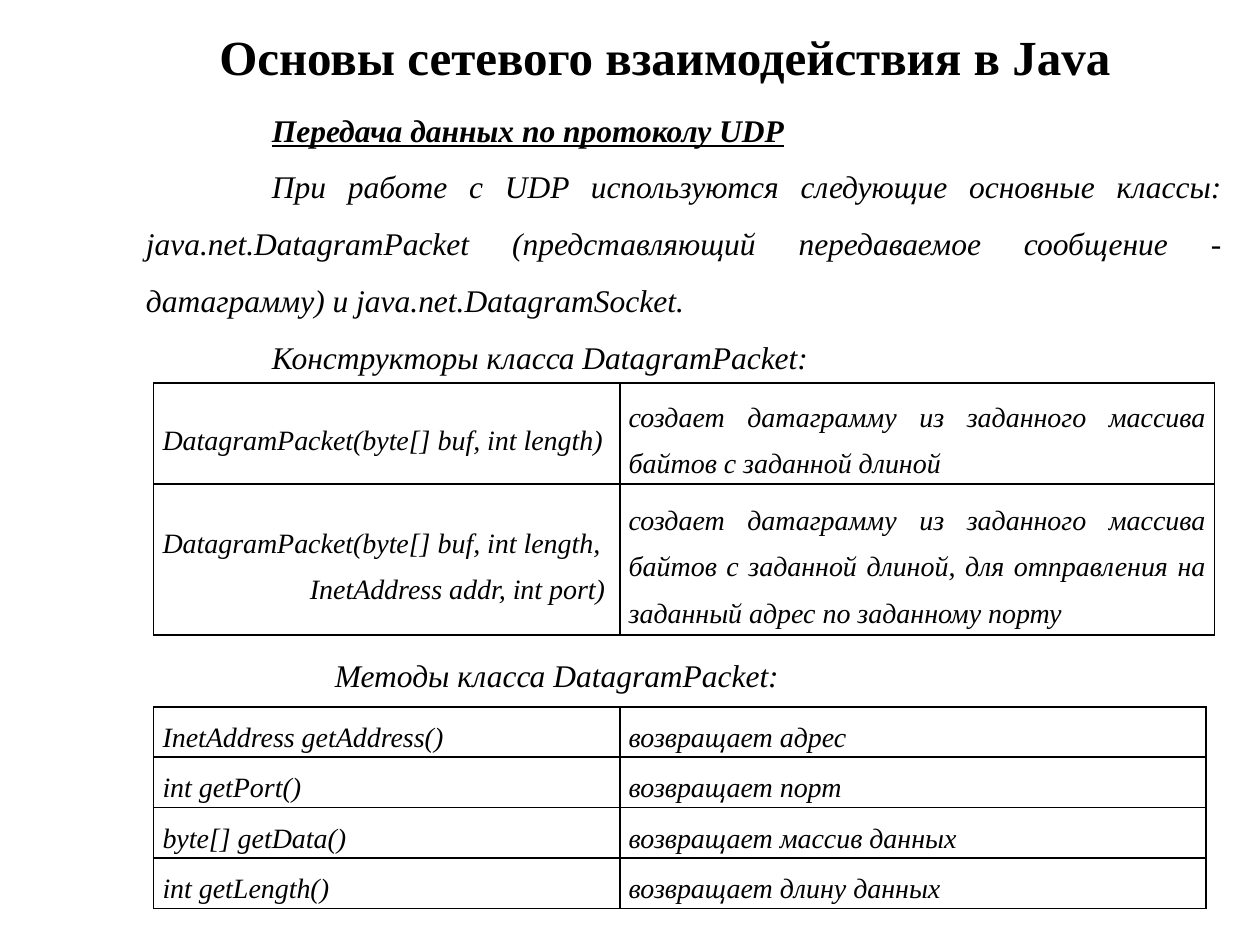
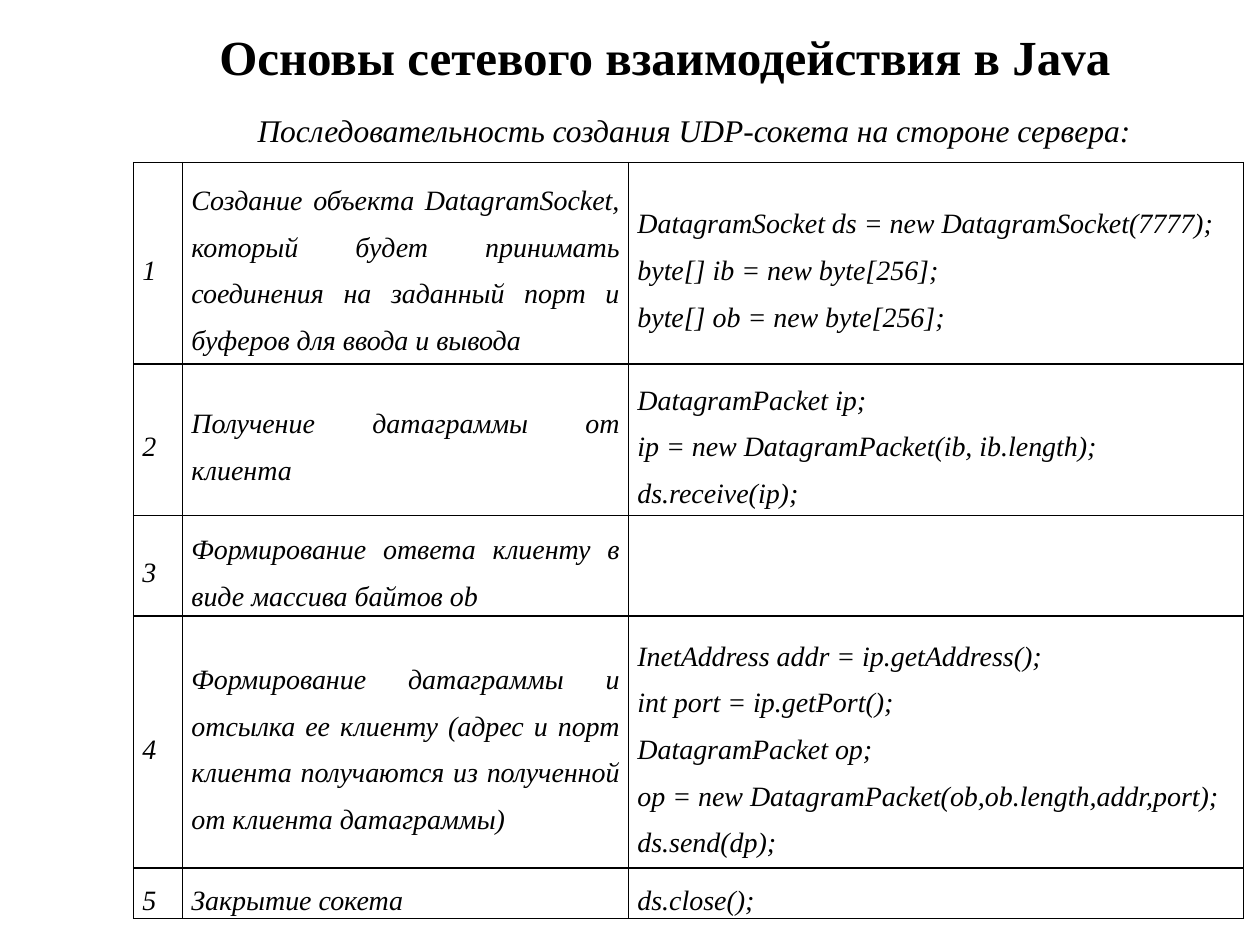
from pptx import Presentation
from pptx.util import Inches, Pt
from pptx.dml.color import RGBColor as Rgb
from pptx.enum.text import PP_ALIGN as Align, MSO_ANCHOR as Anchor
from pptx.oxml import parse_xml
from pptx.oxml.ns import nsdecls

COLORS = {"ink": "000000", "page": "FFFFFF"}
FONT = "Times New Roman"
LINE = 0.4  # height of one table line
GAP = 1.5   # line spacing
LEFT = 1.22

deck = Presentation()
deck.slide_width, deck.slide_height = Inches(10), Inches(7.5)


def write(frame, lines, size, align=Align.JUSTIFY, gap=None, bold=False, first=None):
    """Fill a frame; first maps a line number to its first-line indent."""
    frame.word_wrap = True
    frame.text = "\n".join(lines)
    for i, para in enumerate(frame.paragraphs):
        para.alignment = align
        if gap:
            para.line_spacing = gap
        if first and i in first:
            props = para._p.get_or_add_pPr()
            props.set("marL", "0")
            props.set("indent", str(Inches(first[i])))
        for run in para.runs:
            font = run.font
            font.name, font.size = FONT, Pt(size)
            font.bold, font.italic = bold, not bold
            font.color.rgb = Rgb.from_string(COLORS["ink"])


def grid(slide, left, top, cols, rows, counts, anchor=Anchor.MIDDLE):
    """Draw a ruled table; counts gives the text lines in each row."""
    table = slide.shapes.add_table(
        len(rows), len(cols), Inches(left), Inches(top),
        Inches(sum(cols)), Inches(LINE * sum(counts))).table
    table.first_row = table.horz_banding = False
    for col, width in zip(table.columns, cols):
        col.width = Inches(width)
    for row, count, texts in zip(table.rows, counts, rows):
        row.height = Inches(LINE * count)
        for cell, text in zip(row.cells, texts):
            cell.vertical_anchor = anchor
            cell.margin_left = cell.margin_right = Inches(0.07)
            cell.margin_top = cell.margin_bottom = 0
            write(cell.text_frame, text.split("\n"), 16, gap=GAP)
            props = cell._tc.get_or_add_tcPr()
            for side in ("lnL", "lnR", "lnT", "lnB"):
                props.append(parse_xml(
                    f'<a:{side} {nsdecls("a")} w="12700"><a:solidFill>'
                    f'<a:srgbClr val="{COLORS["ink"]}"/></a:solidFill></a:{side}>'))
            cell.fill.background()
    return table


# Shared page and title
pages = []
for _ in range(2):
    page = deck.slides.add_slide(deck.slide_layouts[6])
    page.background.fill.solid()
    page.background.fill.fore_color.rgb = Rgb.from_string(COLORS["page"])
    title = page.shapes.add_textbox(
        Inches(LEFT), Inches(0.21), Inches(8.11), Inches(0.47)).text_frame
    title.vertical_anchor = Anchor.MIDDLE
    write(title, ["Основы сетевого взаимодействия в Java"], 28, Align.CENTER, bold=True)
    pages.append(page)
packet, server = pages

# Packet slide: introduction
intro = packet.shapes.add_textbox(
    Inches(1.06), Inches(0.68), Inches(8.74), Inches(2.37)).text_frame
write(intro, [
    "Передача данных по протоколу UDP",
    "При работе с UDP используются следующие основные классы: "
    "java.net.DatagramPacket (представляющий передаваемое сообщение - "
    "датаграмму) и java.net.DatagramSocket.",
    "Конструкторы класса DatagramPacket:",
], 18, gap=GAP, first={0: 1, 1: 1, 2: 1})
head = intro.paragraphs[0].runs[0].font
head.bold = head.underline = True

# Packet slide: constructors
made = grid(packet, LEFT, 3.04, [3.7, 4.72], [
    ("DatagramPacket(byte[] buf, int length)",
     "создает датаграмму из заданного массива байтов с заданной длиной"),
    ("DatagramPacket(byte[] buf, int length,\nInetAddress addr, int port)",
     "создает датаграмму из заданного массива байтов с заданной длиной, "
     "для отправления на заданный адрес по заданному порту"),
], [2, 3])
tail = made.cell(1, 0).text_frame
write(tail, [para.text for para in tail.paragraphs], 16, gap=GAP, first={1: 1.17})

# Packet slide: methods
label = packet.shapes.add_textbox(
    Inches(1.06), Inches(5.16), Inches(8.74), Inches(0.4)).text_frame
write(label, ["Методы класса DatagramPacket:"], 18, first={0: 1.5})
grid(packet, LEFT, 5.61, [3.7, 4.65], [
    ("InetAddress getAddress()", "возвращает адрес"),
    ("int getPort()", "возвращает порт"),
    ("byte[] getData()", "возвращает массив данных"),
    ("int getLength()", "возвращает длину данных"),
], [1] * 4, Anchor.TOP)

# Server slide: heading and steps
label = server.shapes.add_textbox(
    Inches(1.14), Inches(0.83), Inches(8.74), Inches(0.4)).text_frame
write(label, ["Последовательность создания UDP-сокета на стороне сервера:"],
      18, Align.CENTER)
steps = [
    ("Создание объекта DatagramSocket, который будет принимать соединения "
     "на заданный порт и буферов для ввода и вывода",
     "DatagramSocket ds = new DatagramSocket(7777);\n"
     "byte[] ib = new byte[256];\nbyte[] ob = new byte[256];"),
    ("Получение датаграммы от клиента",
     "DatagramPacket ip;\nip = new DatagramPacket(ib, ib.length);\nds.receive(ip);"),
    ("Формирование ответа клиенту в виде массива байтов ob", ""),
    ("Формирование датаграммы и отсылка ее клиенту (адрес и порт клиента "
     "получаются из полученной от клиента датаграммы)",
     "InetAddress addr = ip.getAddress();\nint port = ip.getPort();\n"
     "DatagramPacket op;\nop = new DatagramPacket(ob,ob.length,addr,port);\n"
     "ds.send(dp);"),
    ("Закрытие сокета", "ds.close();"),
]
grid(server, 1.06, 1.29, [0.39, 3.54, 4.88],
     [(str(i), *step) for i, step in enumerate(steps, 1)], [4, 3, 2, 5, 1])

deck.save("out.pptx")
